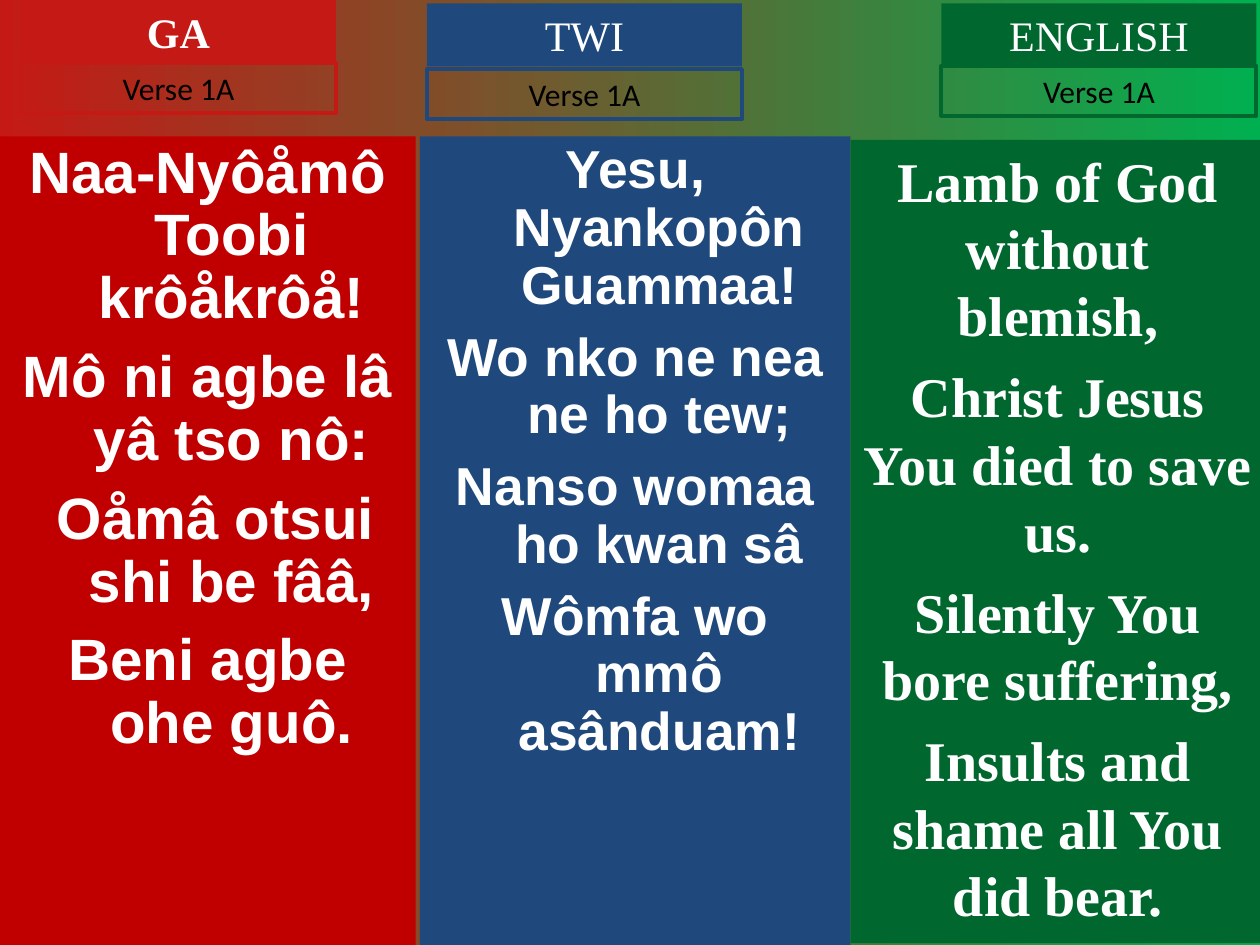
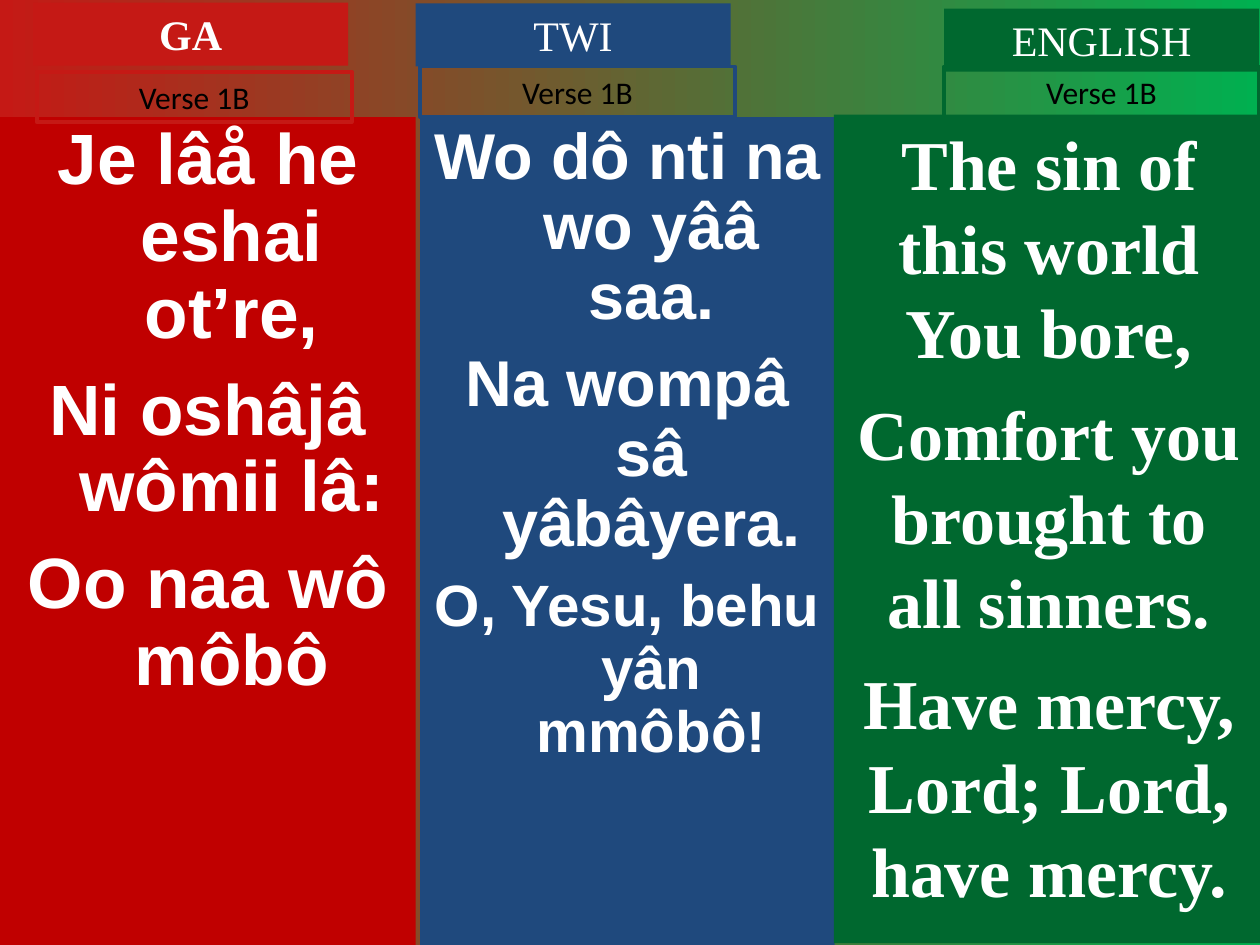
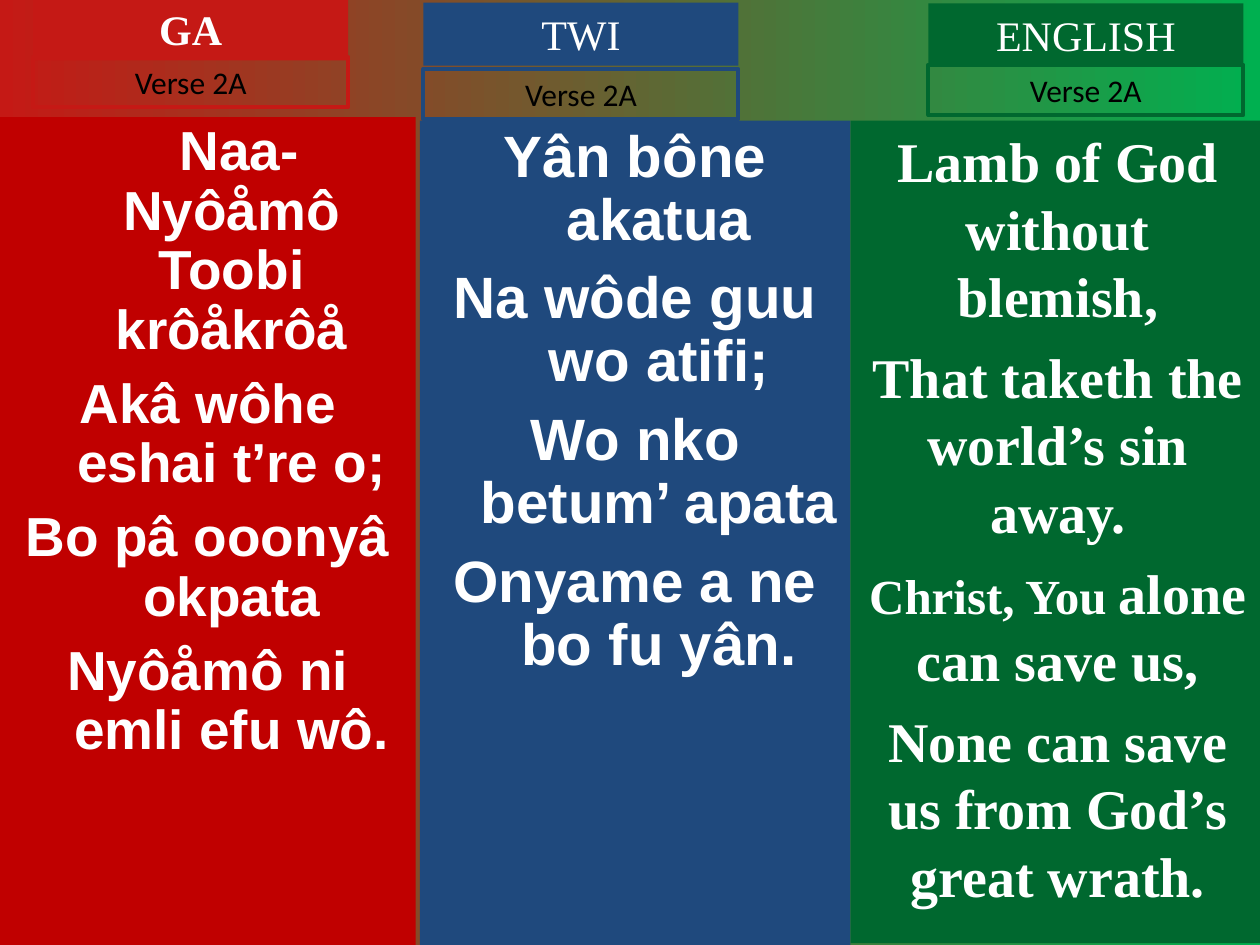
from dataclasses import dataclass

from pptx import Presentation
from pptx.dml.color import RGBColor
from pptx.enum.shapes import MSO_SHAPE
from pptx.enum.text import MSO_ANCHOR, MSO_AUTO_SIZE, PP_ALIGN
from pptx.util import Pt

RED = RGBColor(0xC5, 0x19, 0x15)
DARK_RED = RGBColor(0xC0, 0x00, 0x00)
BLUE = RGBColor(0x1F, 0x49, 0x7D)
GREEN = RGBColor(0x00, 0x68, 0x2F)
LIME = RGBColor(0x00, 0xB0, 0x50)
WHITE = RGBColor(0xFF, 0xFF, 0xFF)
BLACK = RGBColor(0x00, 0x00, 0x00)
SERIF = "Times New Roman"
HANG = 27.36
LABEL_WIDTH, HEAD_HEIGHT, TAG_HEIGHT = 180, 36, 28.8


@dataclass(frozen=True)
class Tongue:
    name: str
    tint: RGBColor
    fill: RGBColor
    font: str
    bold: bool
    hang: float
    lines: float
    gap: float
    bottom: float


@dataclass(frozen=True)
class Box:
    left: float
    top: float
    width: float
    height: float


@dataclass(frozen=True)
class Run:
    text: str
    size: float


@dataclass(frozen=True)
class Line:
    runs: tuple[Run, ...]
    lead: float = 0


@dataclass(frozen=True)
class Column:
    tongue: Tongue
    left: float
    top: float
    width: float
    head: tuple[float, float]
    tag: tuple[float, float]
    lines: tuple[Line, ...]


@dataclass(frozen=True)
class Verse:
    name: str
    columns: tuple[Column, ...]


GA = Tongue("GA", RED, DARK_RED, "Arial", True, HANG, 0.9, 0.27, 540)
TWI = Tongue("TWI", BLUE, BLUE, "Arial", False, HANG, 0.9, 0.27, 540)
ENGLISH = Tongue("ENGLISH", GREEN, GREEN, SERIF, False, 0, 1, 0.25, 539)


def line(text: str, size: float, lead: float = 0) -> Line:
    return Line((Run(text, size),), lead)


def lines(size: float, *texts: str) -> tuple[Line, ...]:
    return tuple(line(text, size) for text in texts)


VERSES = (
    Verse("Verse 1A", (
        Column(GA, 0, 78, 237.5, (12, 0), (12, 36), (
            *lines(33.3, "Naa-Nyôåmô Toobi krôåkrôå!", "Mô ni agbe lâ yâ tso nô:"),
            line("Oåmâ otsui shi be fââ,", 33.3, 9),
            line("Beni agbe ohe guô.", 33.3))),
        Column(TWI, 240, 78, 246, (244, 2), (244, 39.5), lines(
            30.5, "Yesu, Nyankopôn Guammaa!", "Wo nko ne nea ne ho tew;",
            "Nanso womaa ho kwan sâ", "Wômfa wo mmô asânduam!")),
        Column(ENGLISH, 486, 80, 237, (538, 2), (538, 37.5), lines(
            32, "Lamb of God without blemish,", "Christ Jesus You died to save us.",
            "Silently You bore suffering,", "Insults and shame all You did bear.")),
    )),
    Verse("Verse 1B", (
        Column(GA, 0, 67, 237.5, (19, 1.5), (21, 41), lines(
            40.7, "Je lâå he eshai ot’re,", "Ni oshâjâ wômii lâ:", "Oo naa wô môbô")),
        Column(TWI, 240, 67, 237, (237.5, 2), (240, 38), (
            *lines(37, "Wo dô nti na wo yââ saa.", "Na wompâ sâ yâbâyera."),
            line("O, Yesu, behu yân mmôbô!", 33.3))),
        Column(ENGLISH, 476.5, 65.5, 246, (539.5, 5), (539.5, 38), lines(
            40, "The sin of this world You bore,", "Comfort you brought to all sinners.",
            "Have mercy, Lord; Lord, have mercy.")),
    )),
    Verse("Verse 2A", (
        Column(GA, 0, 67, 237.5, (19, -1.5), (19, 32.5), (
            line("Naa-Nyôåmô Toobi krôåkrôå", 31.4, 36),
            *lines(31.4, "Akâ wôhe eshai t’re o;", "Bo pâ ooonyâ okpata",
                   "Nyôåmô ni emli efu wô."))),
        Column(TWI, 240, 69, 246, (242, 1.5), (242, 39.5), lines(
            33.3, "Yân bône akatua", "Na wôde guu wo atifi;",
            "Wo nko betum’ apata", "Onyame a ne bo fu yân.")),
        Column(ENGLISH, 486, 69, 237, (530.5, 2), (530.5, 37), (
            *lines(32, "Lamb of God without blemish,", "That taketh the world’s sin away."),
            Line((Run("Christ, You ", 28), Run("alone can save us,", 32))),
            line("None can save us from God’s great wrath.", 32))),
    )),
)


def panel(slide, box: Box, fill: RGBColor | None, edge: RGBColor | None = None):
    shape = slide.shapes.add_shape(
        MSO_SHAPE.RECTANGLE, Pt(box.left), Pt(box.top), Pt(box.width), Pt(box.height))
    shape.shadow.inherit = False
    if fill is None:
        shape.fill.background()
    else:
        shape.fill.solid()
        shape.fill.fore_color.rgb = fill
    if edge is None:
        shape.line.fill.background()
    else:
        shape.line.color.rgb = edge
        shape.line.width = Pt(2.25)
    frame = shape.text_frame
    frame.word_wrap = True
    frame.vertical_anchor = MSO_ANCHOR.TOP
    return frame


def write(para, run: Run, font: str, color: RGBColor, bold: bool) -> None:
    part = para.add_run()
    part.text = run.text
    part.font.name = font
    part.font.size = Pt(run.size)
    part.font.bold = bold
    part.font.color.rgb = color


def label(frame, run: Run, font: str, color: RGBColor, bold: bool = False) -> None:
    frame.auto_size = MSO_AUTO_SIZE.SHAPE_TO_FIT_TEXT
    para = frame.paragraphs[0]
    para.alignment = PP_ALIGN.CENTER
    write(para, run, font, color, bold)


def lyrics(frame, column: Column) -> None:
    tongue = column.tongue
    for index, row in enumerate(column.lines):
        para = frame.add_paragraph() if index else frame.paragraphs[0]
        para.alignment = PP_ALIGN.CENTER
        para.line_spacing = tongue.lines
        if index:
            size = max(run.size for run in row.runs)
            para.space_before = Pt(round(size * tongue.gap, 1))
        props = para._p.get_or_add_pPr()
        props.set("marL", str(Pt(tongue.hang)))
        props.set("indent", str(Pt(row.lead - tongue.hang)))
        for run in row.runs:
            write(para, run, tongue.font, WHITE, True)


def draw(slide, column: Column, verse: str) -> None:
    tongue = column.tongue
    body = Box(column.left, column.top, column.width, tongue.bottom - column.top)
    lyrics(panel(slide, body, tongue.fill), column)
    head = panel(slide, Box(*column.head, LABEL_WIDTH, HEAD_HEIGHT), tongue.tint)
    label(head, Run(tongue.name, 24), SERIF, WHITE, tongue.bold)
    tag = panel(slide, Box(*column.tag, LABEL_WIDTH, TAG_HEIGHT), None, tongue.tint)
    label(tag, Run(verse, 18), "Calibri", BLACK)


def main() -> None:
    deck = Presentation()
    deck.slide_width, deck.slide_height = Pt(720), Pt(540)
    fill = deck.slide_master.background.fill
    fill.gradient()
    fill.gradient_angle = 0
    for stop, color in zip(fill.gradient_stops, (RED, LIME)):
        stop.color.rgb = color
    for verse in VERSES:
        slide = deck.slides.add_slide(deck.slide_layouts[6])
        for column in verse.columns:
            draw(slide, column, verse.name)
    deck.save("out.pptx")


if __name__ == "__main__":
    main()
